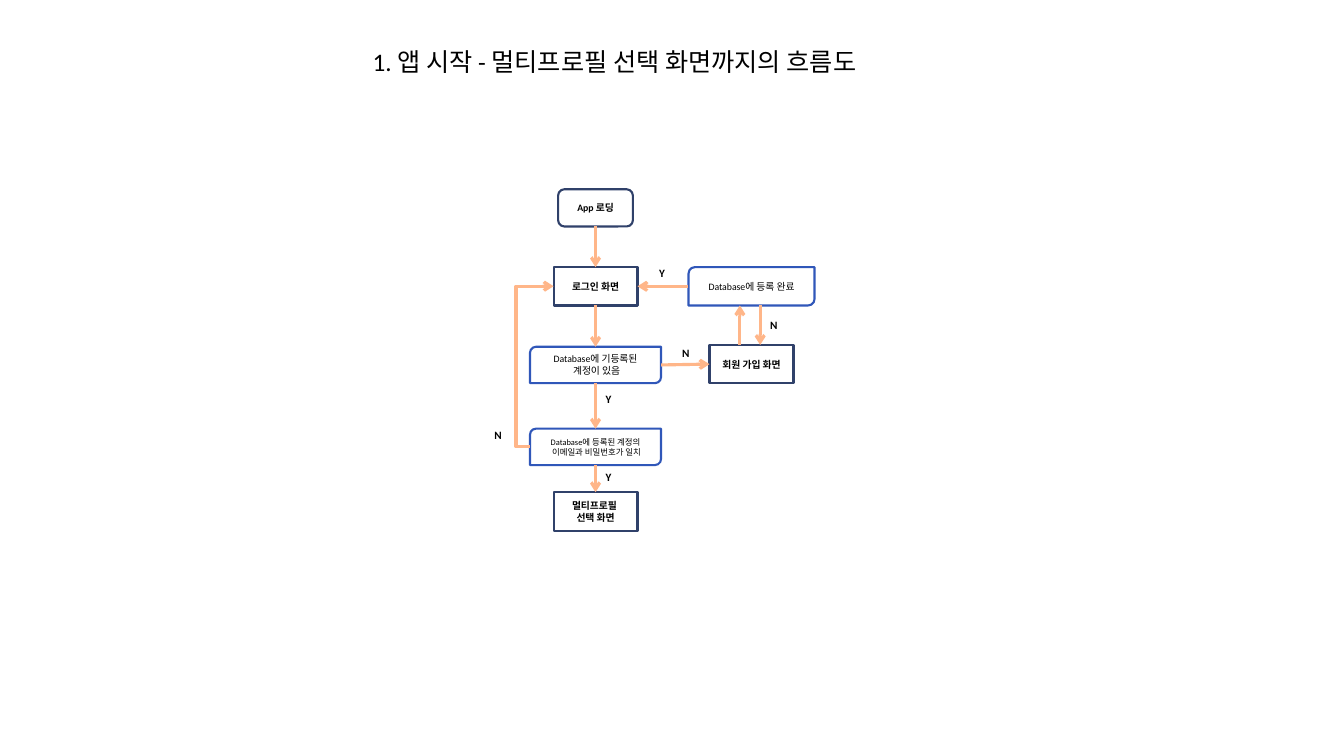
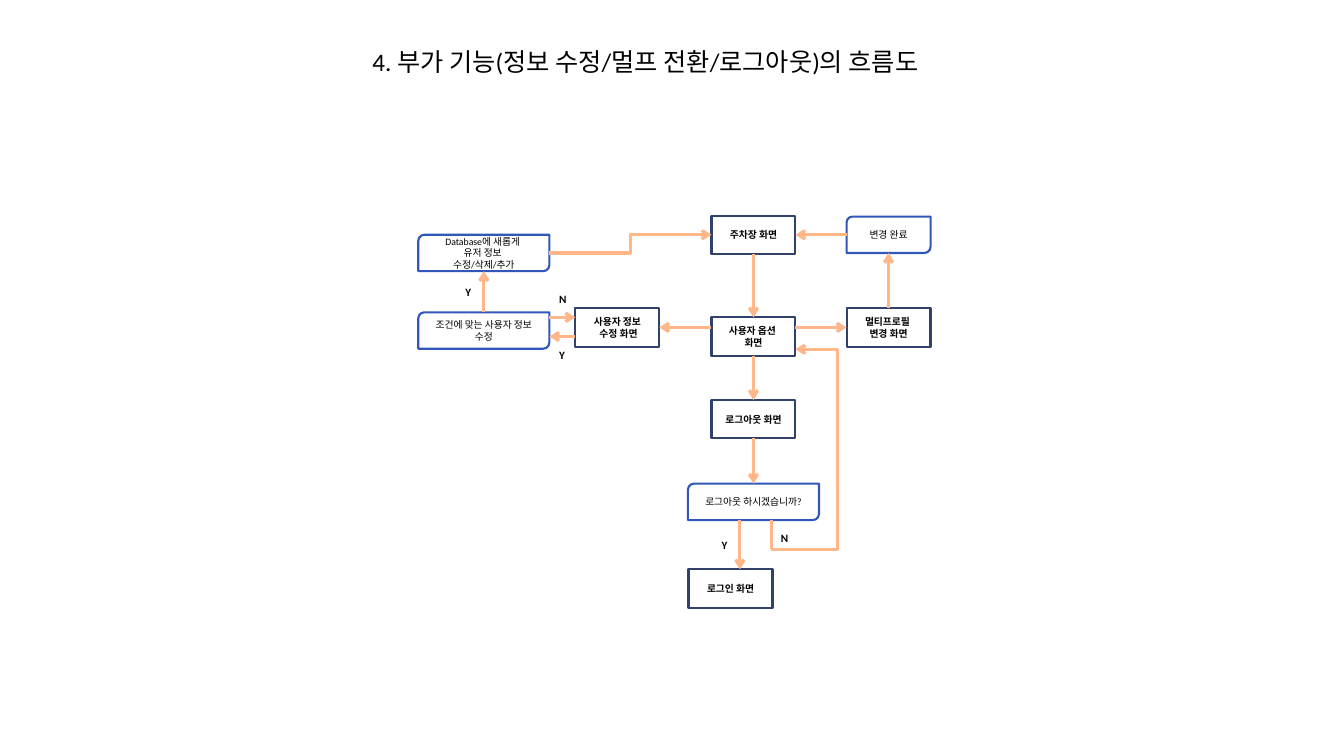
import pptx
import pptx.dml.color
import pptx.enum.shapes
import pptx.enum.text
import pptx.oxml.ns
import pptx.util
from lxml import etree

Pt = pptx.util.Pt
SHAPES = pptx.enum.shapes.MSO_SHAPE
CONNECTORS = pptx.enum.shapes.MSO_CONNECTOR
PP_ALIGN = pptx.enum.text.PP_ALIGN
qn = pptx.oxml.ns.qn

FONT = "Calibri"
BLACK, WHITE, NAVY, BLUE, ORANGE = "000000", "FFFFFF", "30416A", "3057B9", "FFB689"
RECT_SITES = {"top": 0, "left": 1, "bottom": 2, "right": 3}
DIAG_SITES = {"right": 0, "bottom": 1, "left": 2, "top": 3}
KINDS = {
    "start": (SHAPES.ROUNDED_RECTANGLE, 53.4, 26.6, NAVY, True, RECT_SITES),
    "screen": (SHAPES.RECTANGLE, 60, 27.4, NAVY, True, RECT_SITES),
    "check": (SHAPES.ROUND_2_DIAG_RECTANGLE, 93.6, 26, BLUE, False, DIAG_SITES),
}


def rgb(value):
    """Turn a hex string into a colour."""
    return pptx.dml.color.RGBColor.from_string(value)


def style_text(tf, size, bold=False, align=None):
    """Format every run of a text frame."""
    for p in tf.paragraphs:
        p.alignment = align
        for r in p.runs:
            r.font.name = FONT
            r.font.size = Pt(size)
            r.font.bold = bold
            r.font.color.rgb = rgb(BLACK)


def add_text(slide, text, left, top, width, height, size, bold=False):
    """Add a one-line text box."""
    tb = slide.shapes.add_textbox(Pt(left), Pt(top), Pt(width), Pt(height))
    tf = tb.text_frame
    tf.text = text
    tf.word_wrap = False
    style_text(tf, size, bold)


def add_titled_slide(prs, title, width):
    """Add a blank slide with the shared title style."""
    slide = prs.slides.add_slide(prs.slide_layouts[6])
    add_text(slide, title, 259, 29.5, width, 29, 18)
    return slide


class Flow:
    """A flowchart placed relative to the corner of its box."""

    def __init__(self, slide, left, top):
        """Remember the slide and the corner."""
        self.slide, self.left, self.top = slide, left, top
        self.sites = {}

    def node(self, kind, cx, y, text, width=None, height=None, size=7):
        """Add a step centred on cx with its top at y."""
        shape, w, h, color, bold, sites = KINDS[kind]
        w, h = width or w, height or h
        sp = self.slide.shapes.add_shape(
            shape, Pt(self.left + cx - w / 2), Pt(self.top + y), Pt(w), Pt(h))
        sp.shadow.inherit = False
        sp.fill.solid()
        sp.fill.fore_color.rgb = rgb(WHITE)
        sp.line.color.rgb = rgb(color)
        sp.line.width = Pt(1.5)
        sp.text_frame.text = text
        style_text(sp.text_frame, size, bold, PP_ALIGN.CENTER)
        self.sites[sp.shape_id] = sites
        return sp

    def label(self, text, x, y):
        """Add the answer beside an arrow."""
        add_text(self.slide, text, self.left + x, self.top + y, 18.7, 16.6, 8, True)

    def point(self, end):
        """Resolve a (node, side) or (x, y) end to slide coordinates."""
        sp, side = end
        if not isinstance(side, str):
            return Pt(self.left + sp), Pt(self.top + side)
        dx, dy = {"top": (0.5, 0), "left": (0, 0.5),
                  "bottom": (0.5, 1), "right": (1, 0.5)}[side]
        return int(sp.left + sp.width * dx), int(sp.top + sp.height * dy)

    def link(self, start, end, via=None, arrow=True):
        """Draw a straight arrow, or an elbow that turns at x = via."""
        (x1, y1), (x2, y2) = self.point(start), self.point(end)
        kind = CONNECTORS.STRAIGHT if via is None else CONNECTORS.ELBOW
        cx = self.slide.shapes.add_connector(kind, x1, y1, x2, y2)
        cx.line.color.rgb = rgb(ORANGE)
        cx.line.width = Pt(2.25)
        sp_pr = cx.line._get_or_add_ln().getparent()
        etree.SubElement(sp_pr, qn("a:effectLst"))
        if arrow:
            etree.SubElement(sp_pr.find(qn("a:ln")), qn("a:tailEnd"), type="arrow")
        if via is not None:
            ratio = (Pt(self.left + via) - x1) / (x2 - x1)
            guides = sp_pr.find(qn("a:prstGeom")).get_or_add_avLst()
            etree.SubElement(guides, qn("a:gd"), name="adj1",
                             fmla=f"val {round(ratio * 100000)}")
            return
        if isinstance(start[1], str):
            cx.begin_connect(start[0], self.sites[start[0].shape_id][start[1]])
            cx.begin_x, cx.begin_y = x1, y1
        if isinstance(end[1], str):
            cx.end_connect(end[0], self.sites[end[0].shape_id][end[1]])
            cx.end_x, cx.end_y = x2, y2

    def chain(self, *nodes):
        """Link nodes downwards in order."""
        for upper, lower in zip(nodes, nodes[1:]):
            self.link((upper, "bottom"), (lower, "top"))


def draw_start_flow(slide, left, top):
    """Draw the flow from app loading to profile selection."""
    flow = Flow(slide, left, top)
    main, side = 79.4, 190.8
    loading = flow.node("start", main, 0, "App 로딩")
    login = flow.node("screen", main, 55.6, "로그인 화면")
    exists = flow.node("check", main, 112.5, "Database에 기등록된\n 계정이 있음")
    match = flow.node("check", main, 171,
                      "Database에 등록된 계정의\n 이메일과 비밀번호가 일치", size=6)
    profile = flow.node("screen", main, 216.4, "멀티프로필 \n선택 화면")
    join = flow.node("screen", side, 111.2, "회원 가입 화면")
    done = flow.node("check", side, 55.6, "Database에 등록 완료", 90, 27.4)
    flow.chain(loading, login, exists, match, profile)
    flow.link((exists, "right"), (join, "left"))
    flow.link((done, "left"), (login, "right"))
    flow.link((182.5, 111.2), (182.5, 83))
    flow.link((197, 83), (197, 111.2))
    flow.link((match, "left"), (login, "left"), via=22.6)
    for text, x, y in (("Y", 79.5, 141.5), ("N", 134.2, 108.4), ("Y", 79.5, 197),
                       ("Y", 117.7, 51.5), ("N", 0, 167.4), ("N", 197, 89)):
        flow.label(text, x, y)


def draw_option_flow(slide, left, top):
    """Draw the flow of the user options."""
    flow = Flow(slide, left, top)
    edits, screens, main, side = 46.8, 142.2, 239.4, 335.9
    parking = flow.node("screen", main, 0, "주차장 화면")
    option = flow.node("screen", main, 72.7, "사용자 옵션 \n화면")
    logout = flow.node("screen", main, 131.8, "로그아웃 화면")
    ask = flow.node("check", main, 191.5, "로그아웃 하시겠습니까?")
    flow.node("screen", 223, 252.7, "로그인 화면")
    profile = flow.node("screen", side, 66.2, "멀티프로필 \n변경 화면")
    changed = flow.node("check", side, 0.7, "변경 완료", 60)
    info = flow.node("screen", screens, 66.2, "사용자 정보\n 수정 화면")
    edit = flow.node("check", edits, 69.1, "조건에 맞는 사용자 정보 수정")
    saved = flow.node("check", edits, 13.7, "Database에 새롭게 \n유저 정보 \n수정/삭제/추가")
    flow.chain(parking, option, logout, ask)
    flow.link((229.7, 217.5), (229.7, 252.7))
    flow.link((252, 217.5), (252, 238.4), arrow=False)
    flow.link((252, 238.4), (269.4, 95.5), via=299.5)
    flow.link((269.4, 79.9), (profile, "left"))
    flow.link((209.4, 79.9), (info, "right"))
    flow.link((112.2, 86.4), (93.6, 86.4))
    flow.link((93.6, 72.7), (112.2, 72.7))
    flow.link((edit, "top"), (saved, "bottom"))
    flow.link((saved, "right"), (parking, "left"), via=151.5)
    flow.link((profile, "top"), (changed, "bottom"))
    flow.link((changed, "left"), (parking, "right"))
    for text, x, y in (("Y", 209.5, 226.8), ("N", 252, 221.8), ("Y", 93.6, 91.5),
                       ("Y", 26.6, 46.1), ("N", 93.6, 51.1)):
        flow.label(text, x, y)


def main():
    """Build and save the presentation."""
    prs = pptx.Presentation()
    prs.slide_width, prs.slide_height = Pt(960), Pt(540)
    slide = add_titled_slide(prs, "1. 앱 시작 - 멀티프로필 선택 화면까지의 흐름도", 459)
    draw_start_flow(slide, 346, 135.2)
    slide = add_titled_slide(
        prs, "4. 부가 기능(정보 수정/멀프 전환/로그아웃)의 흐름도", 484)
    draw_option_flow(slide, 298.8, 154)
    prs.save("out.pptx")


if __name__ == "__main__":
    main()
